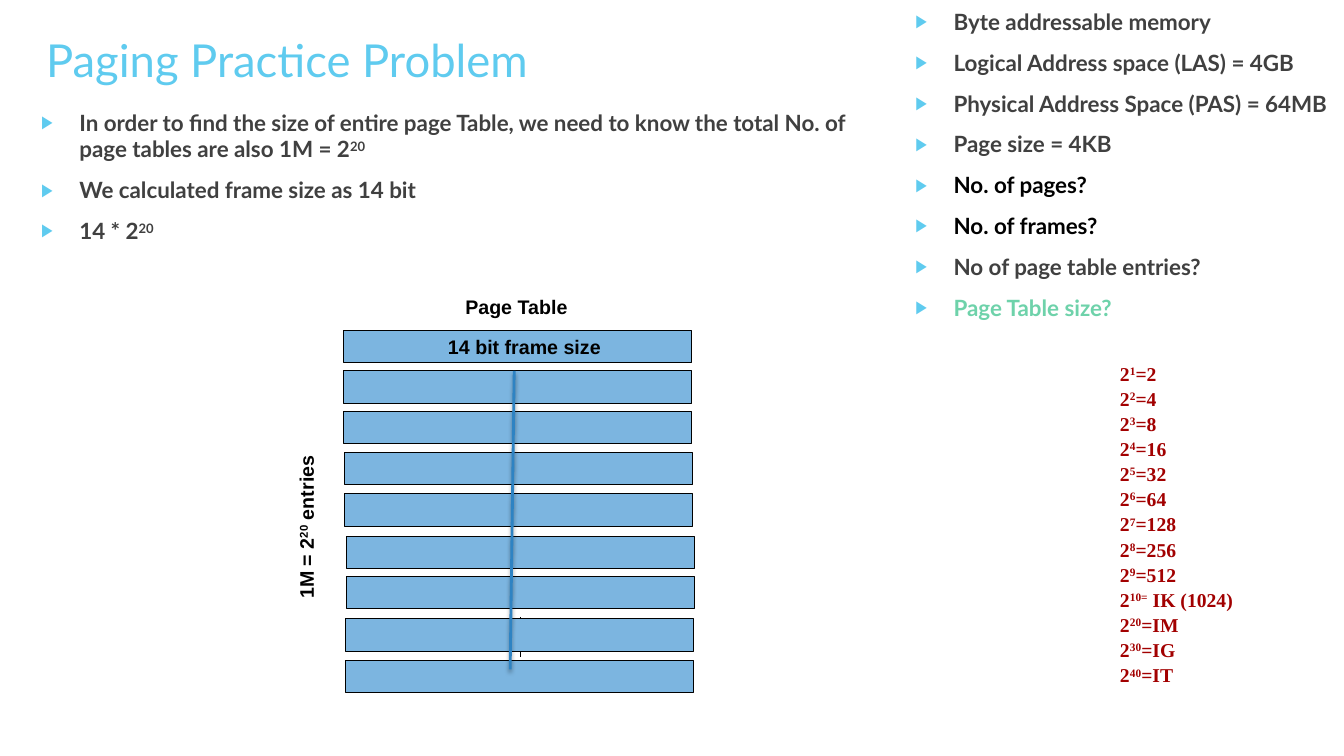
import pptx
import pptx.dml.color
import pptx.enum.shapes
import pptx.enum.text
import pptx.oxml
import pptx.oxml.ns
import pptx.util
from lxml import etree

RGBColor = pptx.dml.color.RGBColor
PP_ALIGN = pptx.enum.text.PP_ALIGN
MSO_ANCHOR = pptx.enum.text.MSO_ANCHOR

EMU_PER_PX = 9144  # 100 px to the inch

SKY = RGBColor(0x5F, 0xCB, 0xEF)
GREY = RGBColor(0x40, 0x40, 0x40)
BLACK = RGBColor(0x00, 0x00, 0x00)
MINT = RGBColor(0x6E, 0xD2, 0xAA)
DARK_RED = RGBColor(0xA2, 0x00, 0x00)
ROW_BLUE = RGBColor(0x7C, 0xB5, 0xE0)
LINE_BLUE = RGBColor(0x2E, 0x83, 0xC3)

ROW_WIDTH, ROW_HEIGHT = 345, 32
ROW_CORNERS = [(341, 368), (341, 408), (342, 449), (342, 490),
               (344, 532), (344, 572), (343, 614), (343, 655)]

FINDINGS = [
    ("In order to find the size of entire page Table, we need to know "
     "the total No. of page tables are also 1M = 2^20^", GREY),
    ("We calculated frame size as 14 bit", GREY),
    ("14 * 2^20^", GREY),
]
PROBLEM = [
    ("Byte addressable memory", GREY),
    ("Logical Address space (LAS) = 4GB", GREY),
    ("Physical Address Space (PAS) = 64MB", GREY),
    ("Page size = 4KB", GREY),
    ("No. of pages?", BLACK),
    ("No. of frames?", BLACK),
    ("No of page table entries?", GREY),
    ("Page Table size?", MINT),
]
POWERS = [f"2^{exponent}^={2 ** exponent}" for exponent in range(1, 10)] + [
    "2^10=^ IK (1024)", "2^20^=IM", "2^30^=IG", "2^40^=IT"]


def px(length):
    return pptx.util.Emu(length * EMU_PER_PX)


def add_text_frame(slide, left, top, width, height, rotation=0):
    box = slide.shapes.add_textbox(px(left), px(top), px(width), px(height))
    box.rotation = rotation
    box.text_frame.word_wrap = True
    return box.text_frame


def write_paragraph(paragraph, text, font_name, size, color, bold=True):
    """Write text in one style; parts between ^ marks are superscript."""
    font = paragraph.font
    font.name = font_name
    font.size = pptx.util.Pt(size)
    font.bold = bold
    font.color.rgb = color
    for index, part in enumerate(text.split("^")):
        if part:
            run = paragraph.add_run()
            run.text = part
            if index % 2:
                run._r.get_or_add_rPr().set("baseline", "30000")


def next_paragraph(frame, index):
    return frame.add_paragraph() if index else frame.paragraphs[0]


def set_arrow_bullet(paragraph):
    properties = paragraph._p.get_or_add_pPr()
    properties.set("marL", str(px(38)))
    properties.set("indent", str(px(-38)))
    namespace = pptx.oxml.ns.nsdecls("a")
    bullet_parts = [
        f'<a:buClr {namespace}><a:srgbClr val="{SKY}"/></a:buClr>',
        f'<a:buSzPct {namespace} val="80000"/>',
        f'<a:buFont {namespace} typeface="Arial"/>',
        f'<a:buChar {namespace} char="▶"/>',
    ]
    default_font = properties.find(pptx.oxml.ns.qn("a:defRPr"))
    for part in bullet_parts:
        default_font.addprevious(pptx.oxml.parse_xml(part))


def add_bullets(slide, items, left, top, width, height):
    frame = add_text_frame(slide, left, top, width, height)
    for index, (text, color) in enumerate(items):
        paragraph = next_paragraph(frame, index)
        paragraph.space_before = pptx.util.Pt(10)
        write_paragraph(paragraph, text, "Lato", 16, color)
        set_arrow_bullet(paragraph)


def add_powers(slide):
    frame = add_text_frame(slide, 1076, 352, 208, 338)
    for index, text in enumerate(POWERS):
        paragraph = next_paragraph(frame, index)
        paragraph.line_spacing = 1.07
        write_paragraph(paragraph, text, "Times New Roman", 14, DARK_RED)
        paragraph._p.get_or_add_pPr().set("marL", str(px(25)))


def add_label(slide, text, left, top, rotation=0):
    frame = add_text_frame(slide, left, top, 209, 38, rotation)
    frame.margin_left = frame.margin_right = px(14)
    frame.margin_top = frame.margin_bottom = px(7)
    frame.vertical_anchor = MSO_ANCHOR.MIDDLE
    paragraph = frame.paragraphs[0]
    paragraph.alignment = PP_ALIGN.CENTER
    write_paragraph(paragraph, text, "Arial", 14, BLACK)


def add_row(slide, left, top):
    row = slide.shapes.add_shape(pptx.enum.shapes.MSO_SHAPE.RECTANGLE,
                                 px(left), px(top), px(ROW_WIDTH), px(ROW_HEIGHT))
    row.shadow.inherit = False
    row.fill.solid()
    row.fill.fore_color.rgb = ROW_BLUE
    row.line.color.rgb = BLACK
    row.line.width = pptx.util.Pt(0.75)


def add_line(slide, start, end, color, width):
    """Draw a straight line and return its empty effect list."""
    line = slide.shapes.add_connector(pptx.enum.shapes.MSO_CONNECTOR.STRAIGHT,
                                      px(start[0]), px(start[1]), px(end[0]), px(end[1]))
    line.line.color.rgb = color
    line.line.width = pptx.util.Pt(width)
    return etree.SubElement(line._element.spPr, pptx.oxml.ns.qn("a:effectLst"))


def add_soft_shadow(effects):
    effects.append(pptx.oxml.parse_xml(
        f'<a:outerShdw {pptx.oxml.ns.nsdecls("a")} blurRad="{pptx.util.Pt(3)}" '
        f'dist="{pptx.util.Pt(2)}" dir="5400000" rotWithShape="0">'
        f'<a:srgbClr val="{BLACK}"><a:alpha val="35000"/></a:srgbClr></a:outerShdw>'))


def add_page_table(slide):
    add_row(slide, 341, 328)
    add_line(slide, (516, 612), (516, 652), BLACK, 0.75)
    add_label(slide, " 14 bit frame size", 413, 325)
    for left, top in ROW_CORNERS:
        add_row(slide, left, top)
    add_soft_shadow(add_line(slide, (510, 368), (506, 664), LINE_BLUE, 2))
    add_label(slide, "1M = 2^20^ entries", 199, 504, rotation=270)
    add_label(slide, " Page Table", 405, 285)


def main():
    presentation = pptx.Presentation()
    presentation.slide_width = px(1333)
    presentation.slide_height = px(750)
    slide = presentation.slides.add_slide(presentation.slide_layouts[6])

    title = add_text_frame(slide, 36, 27, 940, 58)
    write_paragraph(title.paragraphs[0], "Paging Practice Problem",
                    "Lato", 32.4, SKY, bold=False)
    add_bullets(slide, FINDINGS, 31, 103, 843, 627)
    add_powers(slide)
    add_bullets(slide, PROBLEM, 898, 3, 458, 424)
    add_page_table(slide)
    presentation.save("out.pptx")


if __name__ == "__main__":
    main()
